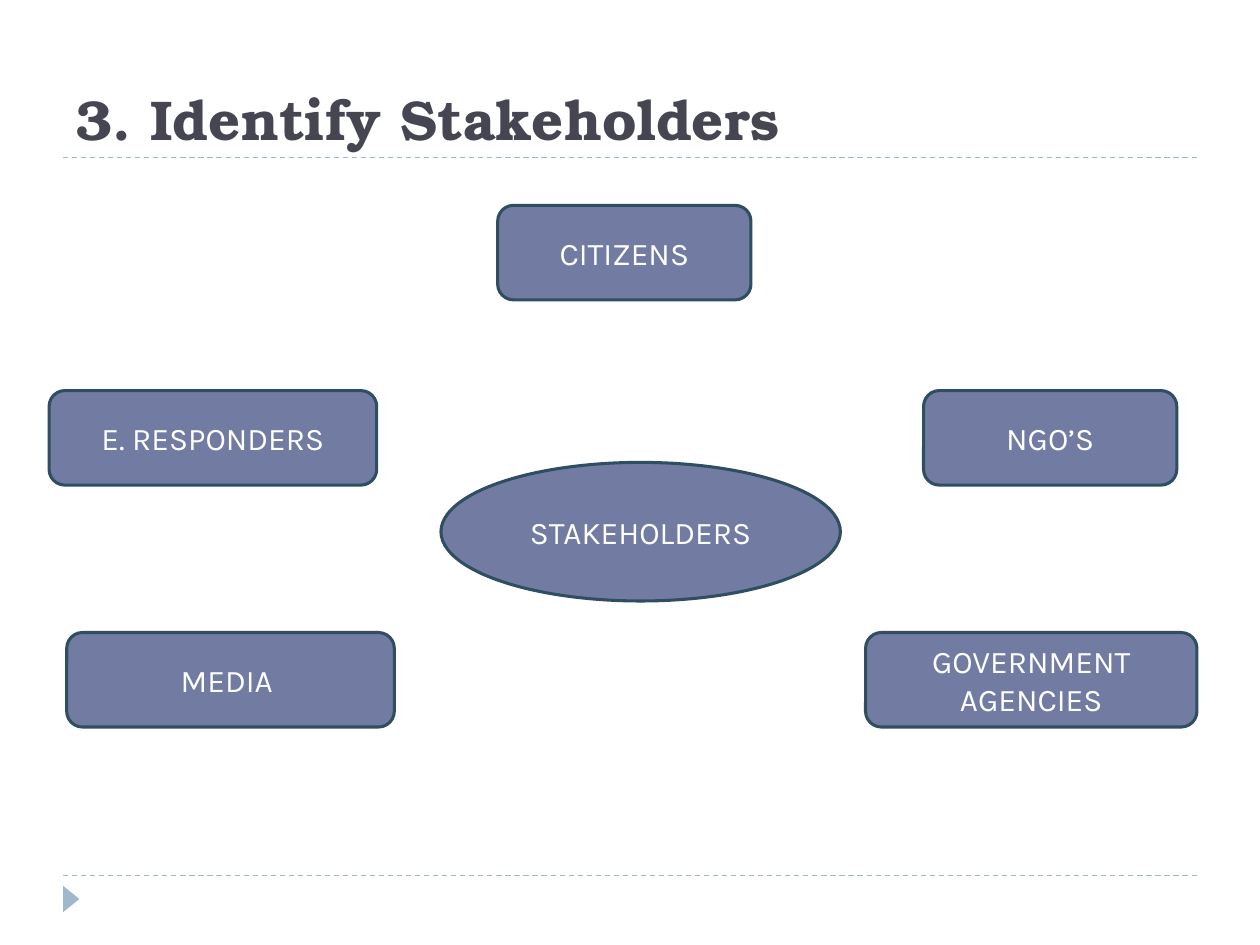
from lxml import etree
from pptx import Presentation, util as u
from pptx.dml.color import RGBColor
from pptx.enum import dml, shapes, text
from pptx.oxml.ns import qn

HUES = {"title": "464653", "rule": "9FB8CD", "fill": "727CA3",
        "edge": "2F4E60", "label": "FFFFFF"}
COLS, ROWS = 10, 7.5


class Deck:
    """Draws styled elements on one slide, placed in grid columns and rows."""

    def __init__(self):
        self.prs = Presentation()
        self.prs.slide_width, self.prs.slide_height = u.Inches(10), u.Inches(7.5)
        self.slide = self.prs.slides.add_slide(self.prs.slide_layouts[6])
        self.items = self.slide.shapes

    def grid(self, x, y):
        return (round(x * self.prs.slide_width / COLS),
                round(y * self.prs.slide_height / ROWS))

    def hue(self, name):
        return RGBColor.from_string(HUES[name])

    def label(self, item, words, size, font, hue, bold=False):
        frame = item.text_frame
        frame.text = words
        frame.word_wrap = True
        style = frame.paragraphs[0].runs[0].font
        style.size, style.name, style.bold = u.Pt(size), font, bold
        style.color.rgb = self.hue(hue)
        return frame

    def title(self, words, x, y, wide, high):
        box = self.items.add_textbox(*self.grid(x, y), *self.grid(wide, high))
        frame = self.label(box, words, 32, "TeX Gyre Bonum", "title", True)
        frame.vertical_anchor = text.MSO_ANCHOR.BOTTOM

    def rule(self, y):
        line = self.items.add_connector(
            shapes.MSO_CONNECTOR.STRAIGHT, *self.grid(0.5, y), *self.grid(9.5, y))
        line.line.color.rgb = self.hue("rule")
        line.line.width = u.Pt(0.75)
        line.line.dash_style = dml.MSO_LINE.DASH
        etree.SubElement(line._element.spPr, qn("a:effectLst"))

    def shape(self, kind, x, y, wide, high, fill):
        item = self.items.add_shape(kind, *self.grid(x, y), *self.grid(wide, high))
        item.shadow.inherit = False
        item.fill.solid()
        item.fill.fore_color.rgb = self.hue(fill)
        return item

    def marker(self, x, y, wide, high):
        item = self.shape(shapes.MSO_SHAPE.ISOSCELES_TRIANGLE, x, y, wide, high, "rule")
        item.rotation = 90
        item.line.fill.background()

    def node(self, words, x, y, wide, high=0.75,
             kind=shapes.MSO_SHAPE.ROUNDED_RECTANGLE):
        item = self.shape(kind, x, y, wide, high, "fill")
        item.line.color.rgb = self.hue("edge")
        item.line.width = u.Pt(1.75)
        frame = self.label(item, words, 18, "Karla", "label")
        frame.vertical_anchor = text.MSO_ANCHOR.MIDDLE
        frame.paragraphs[0].alignment = text.PP_ALIGN.CENTER


def main():
    deck = Deck()
    for y in (6.95, 1.25):
        deck.rule(y)
    deck.marker(0.46, 7.07, 0.21, 0.13)
    deck.title("3. Identify Stakeholders", 0.5, 0.17, 9, 1.08)
    deck.node("STAKEHOLDERS", 3.5, 3.67, 3.17, 1.1, shapes.MSO_SHAPE.OVAL)
    upper, lower = 3.1, 5.02
    for group in (("E. RESPONDERS", 0.39, upper, 2.6),
                  ("MEDIA ", 0.53, lower, 2.6),
                  ("GOVERNMENT AGENCIES", 6.87, lower, 2.63),
                  ("NGO’S", 7.33, upper, 2.01),
                  ("CITIZENS", 3.95, 1.63, 2.01)):
        deck.node(*group)
    deck.prs.save("out.pptx")


if __name__ == "__main__":
    main()
